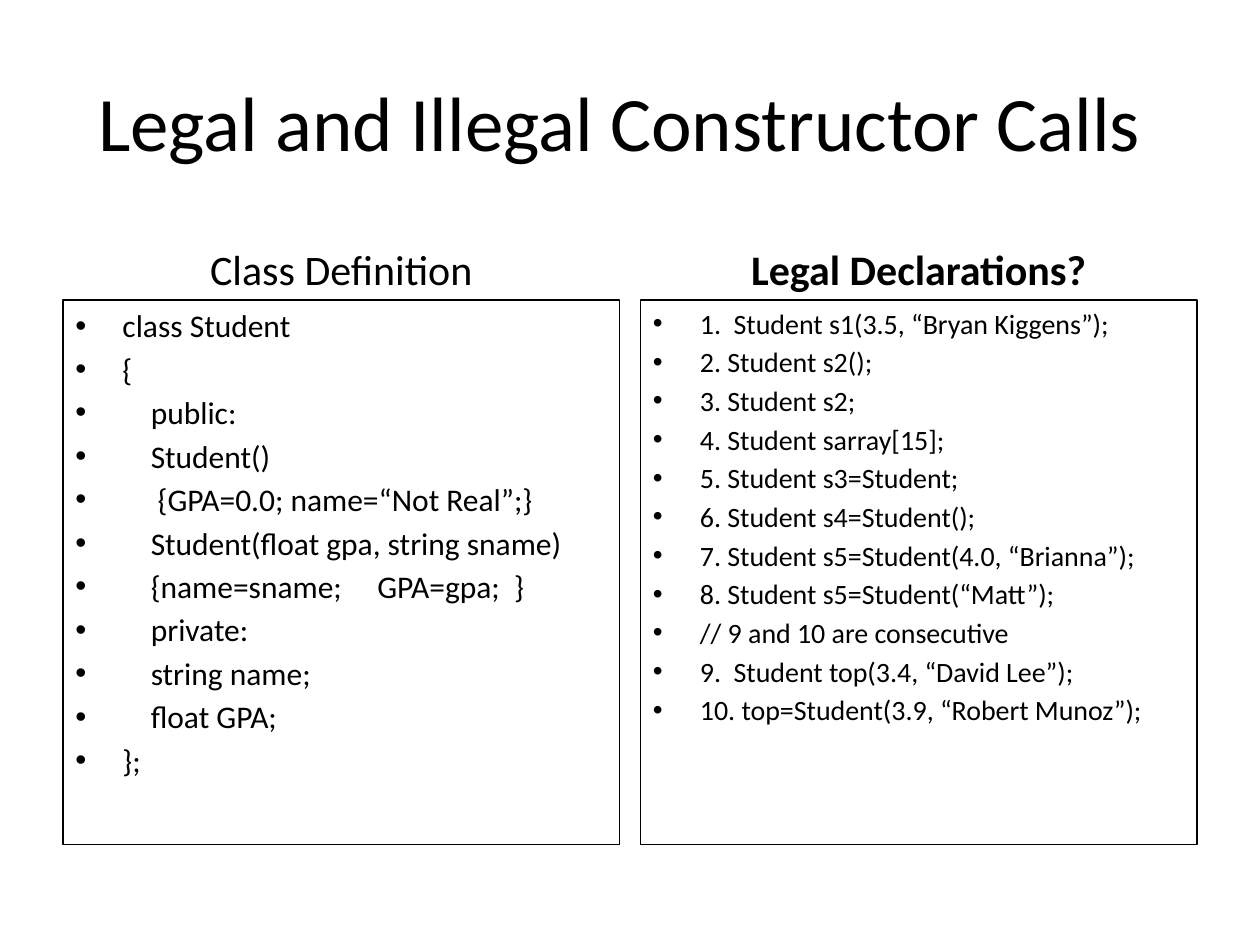
from dataclasses import dataclass

from lxml.etree import SubElement
from pptx import Presentation
from pptx.dml.color import RGBColor
from pptx.enum.text import MSO_ANCHOR, PP_ALIGN
from pptx.oxml.ns import qn
from pptx.util import Cm, Pt


@dataclass(frozen=True)
class Theme:
    font: str = "Calibri"
    ink: RGBColor = RGBColor(0, 0, 0)
    paper: RGBColor = RGBColor(255, 255, 255)
    title: int = 44
    heading: int = 24
    code: int = 18
    calls: int = 16
    border: float = 0.75
    spacing: float = 0.18
    hanging: float = 0.95
    code_step: float = 0.57
    brace_step: float = 0.71


THEME = Theme()

CLASS_LINES = [
    (0, "class Student"),
    (0, "{"),
    (THEME.code_step, "public:"),
    (THEME.code_step, "Student()"),
    (THEME.brace_step, "{GPA=0.0; name=“Not Real”;}"),
    (THEME.code_step, "Student(float gpa, string sname)"),
    (THEME.code_step, "{name=sname;     GPA=gpa;  }"),
    (THEME.code_step, "private:"),
    (THEME.code_step, "string name;"),
    (THEME.code_step, "float GPA;"),
    (0, "};"),
]

DECLARATIONS = [
    (0, "1.  Student s1(3.5, “Bryan Kiggens”);"),
    (0, "2. Student s2();"),
    (0, "3. Student s2;"),
    (0, "4. Student sarray[15];"),
    (0, "5. Student s3=Student;"),
    (0, "6. Student s4=Student();"),
    (0, "7. Student s5=Student(4.0, “Brianna”);"),
    (0, "8. Student s5=Student(“Matt”);"),
    (0, "// 9 and 10 are consecutive"),
    (0, "9.  Student top(3.4, “David Lee”);"),
    (0, "10. top=Student(3.9, “Robert Munoz”);"),
]


def add_frame(slide, box, anchor):
    area = slide.shapes.add_textbox(*(Cm(length) for length in box))
    area.text_frame.word_wrap = True
    area.text_frame.vertical_anchor = anchor
    return area


def add_words(paragraph, words, size, bold=False):
    run = paragraph.add_run()
    run.text = words
    run.font.name = THEME.font
    run.font.size = Pt(size)
    run.font.bold = bold
    run.font.color.rgb = THEME.ink


def add_heading(slide, box, words, size, anchor, bold=False):
    heading = add_frame(slide, box, anchor).text_frame.paragraphs[0]
    heading.alignment = PP_ALIGN.CENTER
    add_words(heading, words, size, bold)


def add_bullet(paragraph, step):
    properties = paragraph._p.get_or_add_pPr()
    indent = Cm(THEME.hanging + step)
    properties.set("marL", str(indent))
    properties.set("indent", str(-indent))
    SubElement(properties, qn("a:buFont"), typeface="Arial")
    SubElement(properties, qn("a:buChar"), char="•")


def add_listing(slide, box, lines, size):
    panel = add_frame(slide, box, MSO_ANCHOR.TOP)
    panel.line.color.rgb = THEME.ink
    panel.line.width = Pt(THEME.border)
    for number, (step, words) in enumerate(lines):
        frame = panel.text_frame
        line = frame.add_paragraph() if number else frame.paragraphs[0]
        line.space_before = Pt(THEME.spacing * size)
        add_bullet(line, step)
        add_words(line, words, size)


def add_column(slide, box, heading, lines, size, bold):
    left, top, width, height = box
    heading_height = 1.78
    add_heading(slide, (left, top, width, heading_height), heading,
                THEME.heading, MSO_ANCHOR.BOTTOM, bold)
    add_listing(slide, (left, top + heading_height, width, height - heading_height),
                lines, size)


def build():
    deck = Presentation()
    deck.slide_width, deck.slide_height = Cm(25.4), Cm(19.05)
    slide = deck.slides.add_slide(deck.slide_layouts[6])
    slide.background.fill.solid()
    slide.background.fill.fore_color.rgb = THEME.paper

    add_heading(slide, (1.07, 0.84, 22.86, 3.18), "Legal and Illegal Constructor Calls",
                THEME.title, MSO_ANCHOR.MIDDLE)

    margin, top, width, height = 1.27, 4.27, 11.22, 12.75
    columns = [
        ("Class Definition", CLASS_LINES, THEME.code, False),
        ("Legal Declarations?", DECLARATIONS, THEME.calls, True),
    ]
    pitch = 25.4 - 2 * margin - width
    for index, column in enumerate(columns):
        add_column(slide, (margin + index * pitch, top, width, height), *column)
    deck.save("out.pptx")


build()
